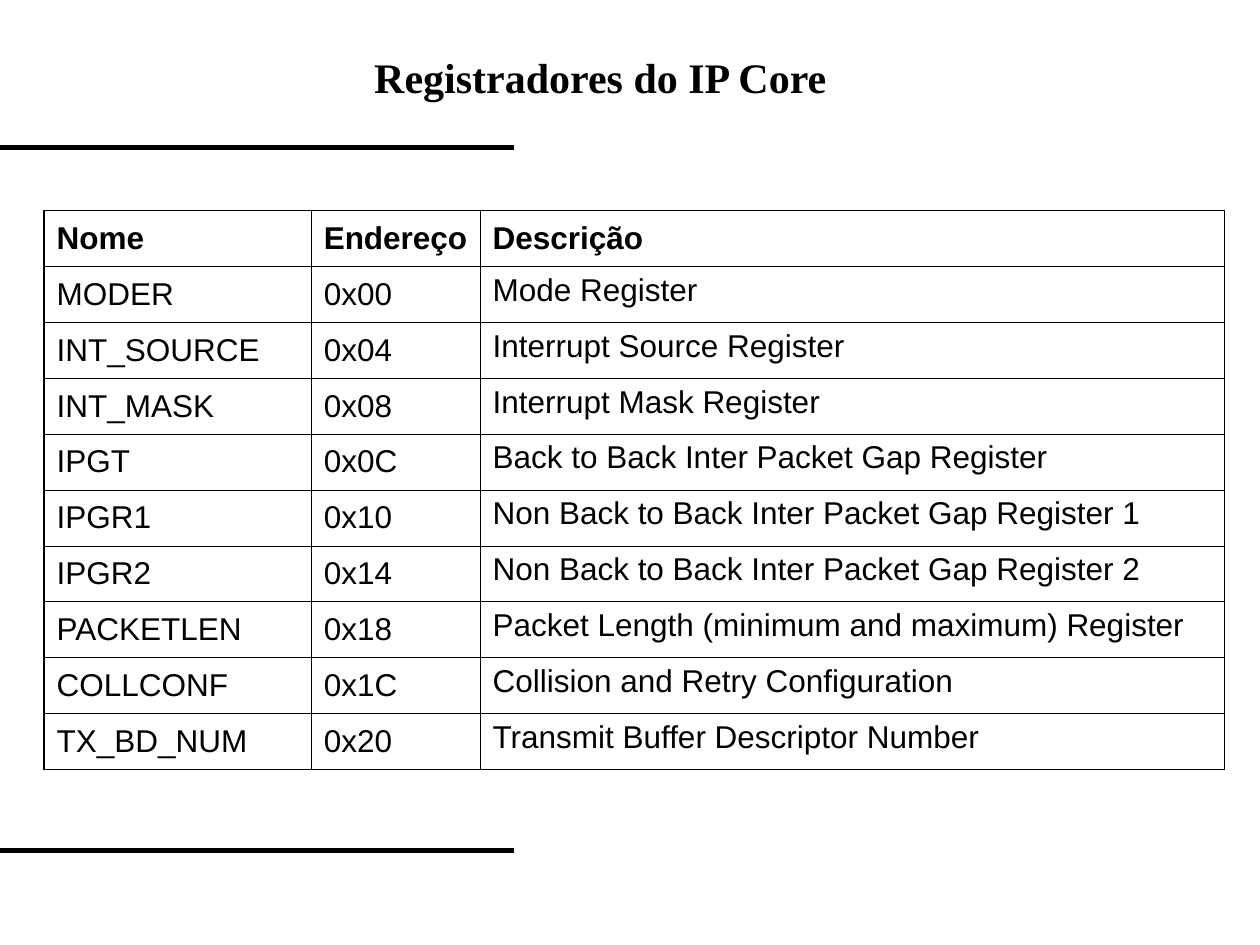
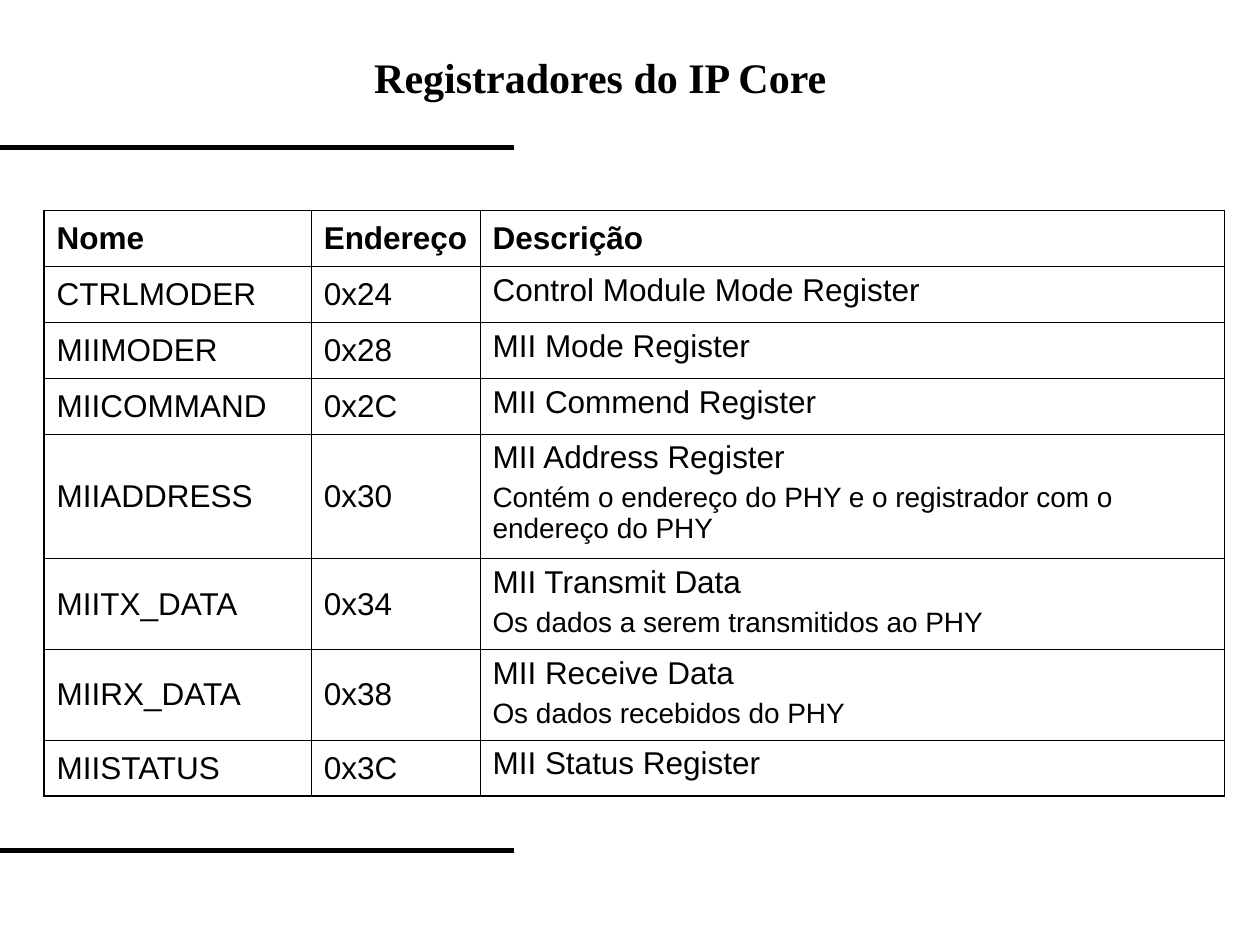
from lxml import etree
from pptx import Presentation
from pptx.dml.color import RGBColor
from pptx.enum import shapes, text
from pptx.oxml import ns
from pptx.util import Inches, Pt

INK = RGBColor(0x00, 0x00, 0x00)
SANS, SERIF = "Arial", "Times New Roman"
THICK, THIN = Pt(1.08), Pt(0.45)
ROW = Inches(4.44) // 10
COLS = [Inches(w) for w in (2.12, 1.34, 5.91)]
TITLE = "Registradores do IP Core"
HEAD = ("Nome", "Endereço", "Descrição")

CORE = [
    ("MODER", "0x00", "Mode Register"),
    ("INT_SOURCE", "0x04", "Interrupt Source Register"),
    ("INT_MASK", "0x08", "Interrupt Mask Register"),
    ("IPGT", "0x0C", "Back to Back Inter Packet Gap Register"),
    ("IPGR1", "0x10", "Non Back to Back Inter Packet Gap Register 1"),
    ("IPGR2", "0x14", "Non Back to Back Inter Packet Gap Register 2"),
    ("PACKETLEN", "0x18", "Packet Length (minimum and maximum) Register"),
    ("COLLCONF", "0x1C", "Collision and Retry Configuration"),
    ("TX_BD_NUM", "0x20", "Transmit Buffer Descriptor Number"),
]
MII = [
    ("CTRLMODER", "0x24", "Control Module Mode Register"),
    ("MIIMODER", "0x28", "MII Mode Register"),
    ("MIICOMMAND", "0x2C", "MII Commend Register"),
    ("MIIADDRESS", "0x30", "MII Address Register\n"
     "Contém o endereço do PHY e o registrador com o endereço do PHY"),
    ("MIITX_DATA", "0x34",
     "MII Transmit Data\nOs dados a serem transmitidos ao PHY"),
    ("MIIRX_DATA", "0x38", "MII Receive Data\nOs dados recebidos do PHY"),
    ("MIISTATUS", "0x3C", "MII Status Register"),
]
TALL = {"MIIADDRESS": Inches(0.99), "MIITX_DATA": Inches(0.72),
        "MIIRX_DATA": Inches(0.72)}


def put(frame, words, font=SANS, size=18, note=16, bold=False):
    """Write one paragraph a line; lines after the first are smaller notes."""
    frame.word_wrap = True
    for i, line in enumerate(words.split("\n")):
        para = frame.add_paragraph() if i else frame.paragraphs[0]
        para.alignment = text.PP_ALIGN.LEFT
        if i:
            para.space_before = Pt(4)
        run = para.add_run()
        run.text = line
        run.font.name, run.font.bold = font, bold
        run.font.size = Pt(note if i else size)
        run.font.color.rgb = INK


def rule(slide, y, width):
    line = slide.shapes.add_connector(
        shapes.MSO_CONNECTOR.STRAIGHT, width, y, 0, y)
    line.line.color.rgb, line.line.width = INK, Pt(3)
    etree.SubElement(line._element.spPr, ns.qn("a:effectLst"))


def edge(cell, side, width):
    line = etree.SubElement(cell._tc.get_or_add_tcPr(),
                            ns.qn("a:ln" + side), w=str(int(width)))
    fill = etree.SubElement(line, ns.qn("a:solidFill"))
    etree.SubElement(fill, ns.qn("a:srgbClr"), val=str(INK))


def title(slide, x, y, w, h):
    box = slide.shapes.title
    box.left, box.top, box.width, box.height = x, y, w, h
    frame = box.text_frame
    frame.auto_size = text.MSO_AUTO_SIZE.NONE
    frame.vertical_anchor = text.MSO_ANCHOR.TOP
    put(frame, TITLE, font=SERIF, size=24, bold=True)


def grid(slide, x, y, regs):
    """Draw the register table with a thick outline and thin inner lines."""
    rows = [HEAD] + regs
    tall = [TALL.get(row[0], ROW) for row in rows]
    table = slide.shapes.add_table(
        len(rows), len(COLS), x, y, sum(COLS), sum(tall)).table
    table.first_row = table.horz_banding = False
    for col, width in zip(table.columns, COLS):
        col.width = width
    for row, height in zip(table.rows, tall):
        row.height = height
    last, end = len(rows) - 1, len(COLS) - 1
    for r, row in enumerate(rows):
        for c, words in enumerate(row):
            cell = table.cell(r, c)
            put(cell.text_frame, words, bold=r == 0)
            top = r > 0 and c == end
            cell.vertical_anchor = (text.MSO_ANCHOR.TOP if top
                                    else text.MSO_ANCHOR.MIDDLE)
            outer = {"L": c == 0, "R": c == end, "T": r == 0, "B": r == last}
            for side, out in outer.items():
                edge(cell, side, THICK if out else THIN)
            cell.fill.background()


def page(deck, regs):
    slide = deck.slides.add_slide(deck.slide_layouts[5])
    for y in (1.17, 6.75):
        rule(slide, Inches(y), Inches(4.08))
    title(slide, Inches(2.87), Inches(0.36), Inches(4.25), Inches(0.5))
    grid(slide, Inches(0.35), Inches(1.67), regs)


def main():
    deck = Presentation()
    deck.slide_width, deck.slide_height = Inches(10), Inches(7.5)
    for regs in (CORE, MII):
        page(deck, regs)
    deck.save("out.pptx")


if __name__ == "__main__":
    main()
